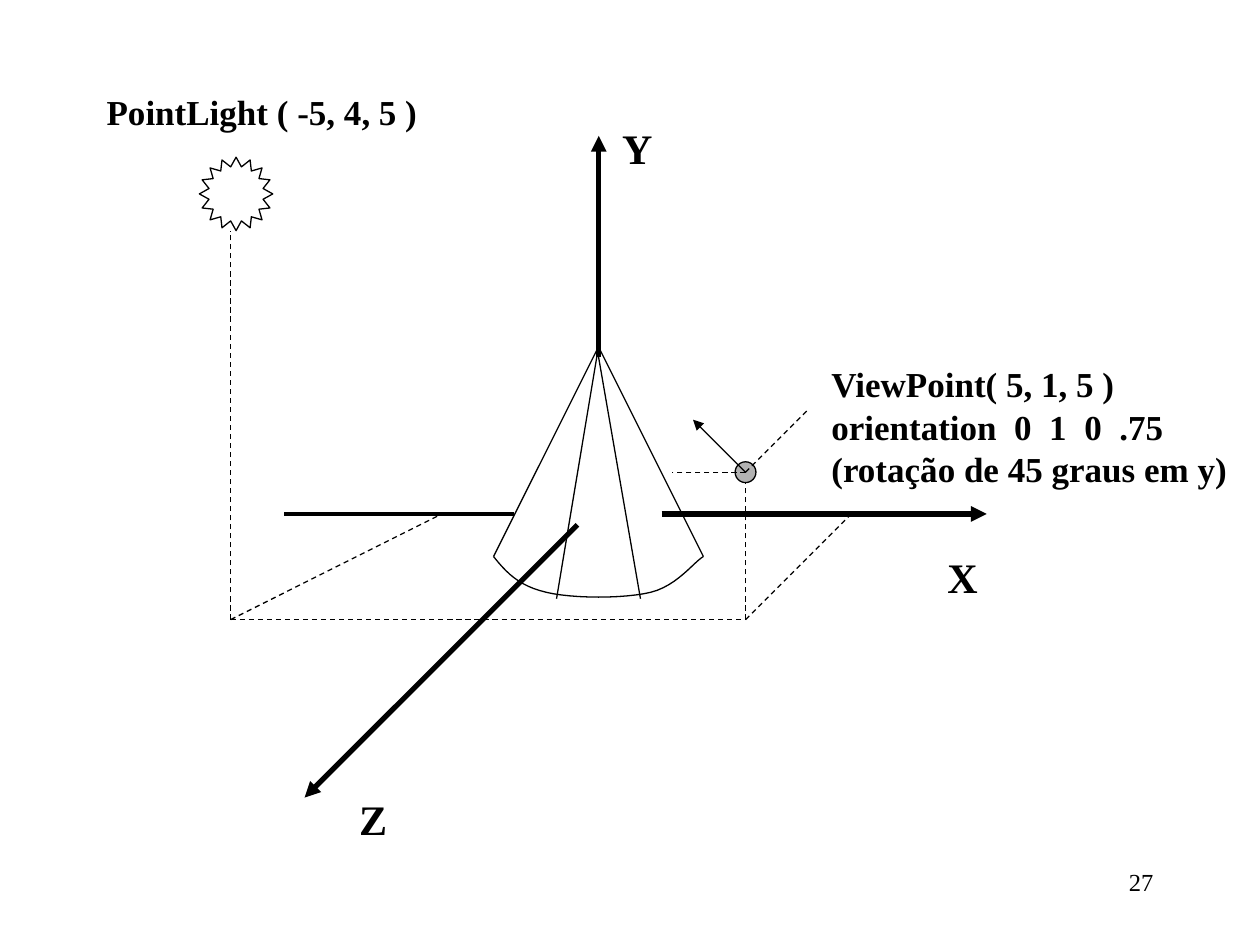
from lxml import etree
from pptx import Presentation
from pptx.dml.color import RGBColor
from pptx.enum.dml import MSO_LINE
from pptx.enum.shapes import MSO_CONNECTOR, MSO_SHAPE
from pptx.enum.text import MSO_AUTO_SIZE, PP_ALIGN
from pptx.oxml.ns import qn
from pptx.util import Cm, Pt

STRAIGHT = MSO_CONNECTOR.STRAIGHT
DASH = MSO_LINE.DASH
STAR, OVAL = MSO_SHAPE.STAR_16_POINT, MSO_SHAPE.OVAL
LEFT, RIGHT = PP_ALIGN.LEFT, PP_ALIGN.RIGHT
FIT = MSO_AUTO_SIZE.SHAPE_TO_FIT_TEXT
FONT = "Times New Roman"
BLACK, GREY = "000000", "B2B2B2"
THIN = 0.75


def color(value):
    return RGBColor.from_string(value)


def add_line(page, box, start, end, width=THIN, dashed=False, arrow=False):
    """Draw a line between two points measured from the box corner."""
    left, top = box[:2]
    line = page.shapes.add_connector(
        STRAIGHT, Cm(left + start[0]), Cm(top + start[1]),
        Cm(left + end[0]), Cm(top + end[1]))
    line.line.color.rgb = color(BLACK)
    line.line.width = Pt(width)
    if dashed:
        line.line.dash_style = DASH
    if arrow:
        outline = line.line._get_or_add_ln()
        etree.SubElement(outline, qn("a:tailEnd"), type="triangle")
    etree.SubElement(line._element.spPr, qn("a:effectLst"))


def add_text(page, box, text, place, size, bold=True, align=LEFT, wrap=True, fit=True):
    """Write one paragraph; place is relative to the box corner."""
    x, y, width, height = place
    label = page.shapes.add_textbox(
        Cm(box[0] + x), Cm(box[1] + y), Cm(width), Cm(height))
    frame = label.text_frame
    frame.word_wrap = wrap
    if fit:
        frame.auto_size = FIT
    para = frame.paragraphs[0]
    para.text = text
    para.alignment = align
    font = para.font
    font.name, font.size, font.bold = FONT, Pt(size), bold
    font.color.rgb = color(BLACK)


def style_shape(shape, fill=None):
    shape.shadow.inherit = False
    if fill:
        shape.fill.solid()
        shape.fill.fore_color.rgb = color(fill)
    else:
        shape.fill.background()
    shape.line.color.rgb = color(BLACK)
    shape.line.width = Pt(THIN)


def curve_points(start, segments, steps=12):
    """Sample a chain of cubic curves."""
    points = [start]
    for a, b, end in segments:
        for step in range(1, steps + 1):
            t = step / steps
            u = 1 - t
            points.append(tuple(
                u**3 * p + 3 * u * u * t * q + 3 * u * t * t * r + t**3 * s
                for p, q, r, s in zip(start, a, b, end)))
        start = end
    return points


def draw_axes(page, box):
    width, height = box[2:]
    level = 7.62
    # Positive axes
    for start, end in [((6.35, 4.45), (6.35, 0)),
                       ((7.62, level), (width, level)),
                       ((5.92, 7.84), (0.42, height))]:
        add_line(page, box, start, end, width=3, arrow=True)
    # Negative side of X
    add_line(page, box, (4.65, level), (0, level), width=2.25)
    for name, x, y in [("X", 13.13, 8.26), ("Y", 6.57, -0.4), ("Z", 1.27, 13.14)]:
        add_text(page, box, name, (x, y, 1.1, 1.27), 24, wrap=False)


def draw_cone(page, box):
    left, top, width, height = box
    rim = 4.23
    apex = (width / 2, 0)
    # Sides and ribs
    for foot in [(0, rim), (width, rim), (width * 0.3, height)]:
        add_line(page, box, apex, foot)
    add_line(page, box, (width * 0.7, height), (width / 2, 0.2))
    # Curved base
    points = curve_points((0, rim), [
        ((0.25, 4.54), (0.5, 4.82), (1.06, 4.95)),
        ((1.59, 5.08), (2.65, 5.08), (3.17, 4.95)),
        ((3.7, 4.82), (4.04, 4.34), (width, rim))])
    points = [(Cm(left + x), Cm(top + y)) for x, y in points]
    builder = page.shapes.build_freeform(*points[0])
    builder.add_line_segments(points[1:], close=False)
    style_shape(builder.convert_to_shape())


def draw_light(page, box):
    left, top, width, height = box
    add_text(page, box, "PointLight ( -5, 4, 5 )", (0, 0, width, 1.11), 20)
    # Sun
    sun = page.shapes.add_shape(STAR, Cm(left + 2.12), Cm(top + 1.48), Cm(1.48), Cm(1.48))
    style_shape(sun)
    # Projection on the floor
    corner = (2.75, height)
    for end in [(2.75, 2.97), (6.99, 8.68)]:
        add_line(page, box, corner, end, dashed=True)


def draw_viewpoint(page, box):
    left, top, width, height = box
    center = (1.48, 2.33)
    corner = (1.48, height)
    # Projection on the floor
    for end in [center, (3.6, 3.18)]:
        add_line(page, box, corner, end, dashed=True)
    # Eye with its directions
    size = 0.42
    eye = page.shapes.add_shape(
        OVAL, Cm(left + center[0] - size / 2), Cm(top + center[1] - size / 2),
        Cm(size), Cm(size))
    style_shape(eye, GREY)
    for end in [(2.75, 1.06), (0, 2.33)]:
        add_line(page, box, center, end, dashed=True)
    add_line(page, box, center, (0.42, 1.27), arrow=True)
    # Description
    x = 2.96
    add_text(page, box, "ViewPoint( 5, 1, 5 )", (x, 0, 8.05, 1.11), 20)
    add_text(page, box, "orientation  0  1  0  .75  (rotação de 45 graus em y)",
             (x, 0.85, width - x, 1.95), 20)


def draw_page_number(page, box):
    add_text(page, box, "27", (0, 0, *box[2:]), 14, bold=False, align=RIGHT, fit=False)


def main():
    deck = Presentation()
    deck.slide_width, deck.slide_height = Cm(25.4), Cm(19.05)
    page = deck.slides.add_slide(deck.slide_layouts[6])
    draw_axes(page, (5.72, 2.74, 14.17, 13.34))
    draw_cone(page, (9.95, 6.99, 4.23, 5.08))
    draw_light(page, (1.9, 1.69, 8.26, 10.8))
    draw_viewpoint(page, (13.55, 7.19, 11.85, 5.3))
    # Floor edge between the light and the viewpoint
    add_line(page, (4.65, 12.49), (0, 0), (10.38, 0), dashed=True)
    draw_page_number(page, (18.2, 17.36, 5.3, 1.27))
    deck.save("out.pptx")


if __name__ == "__main__":
    main()
